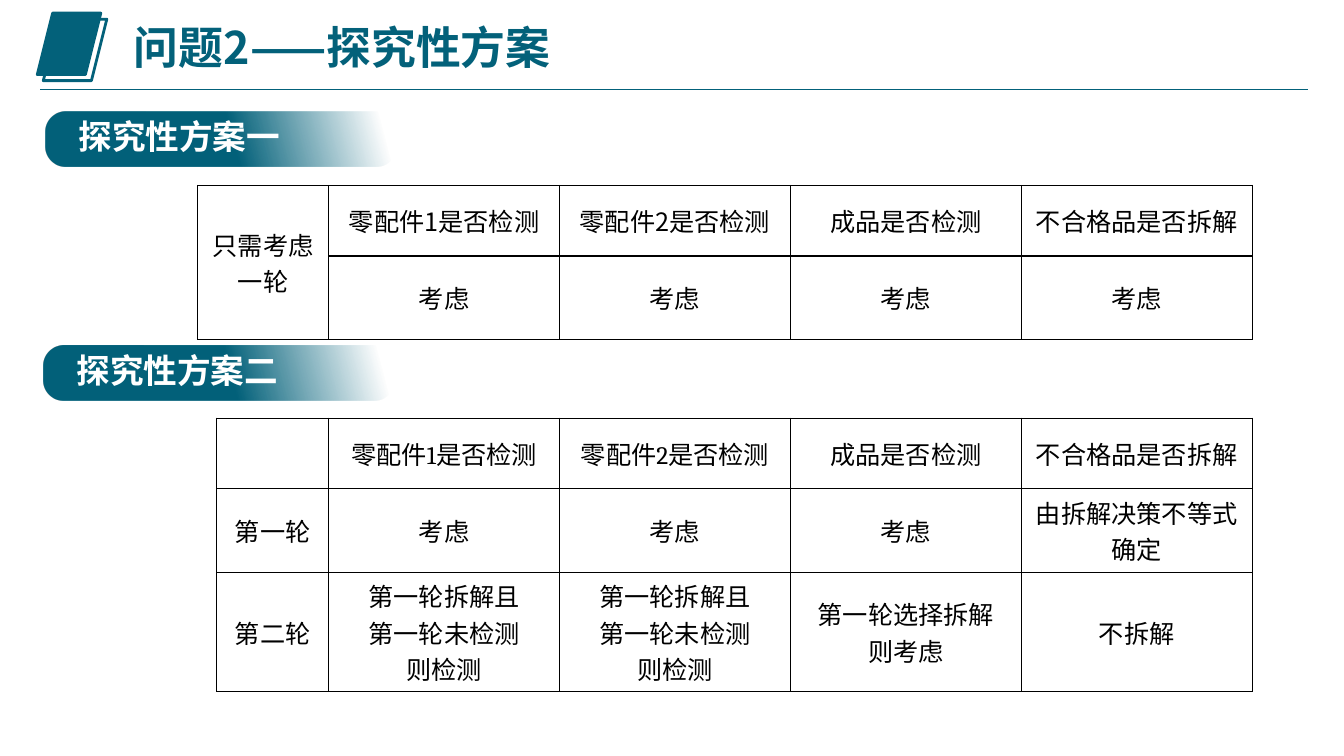
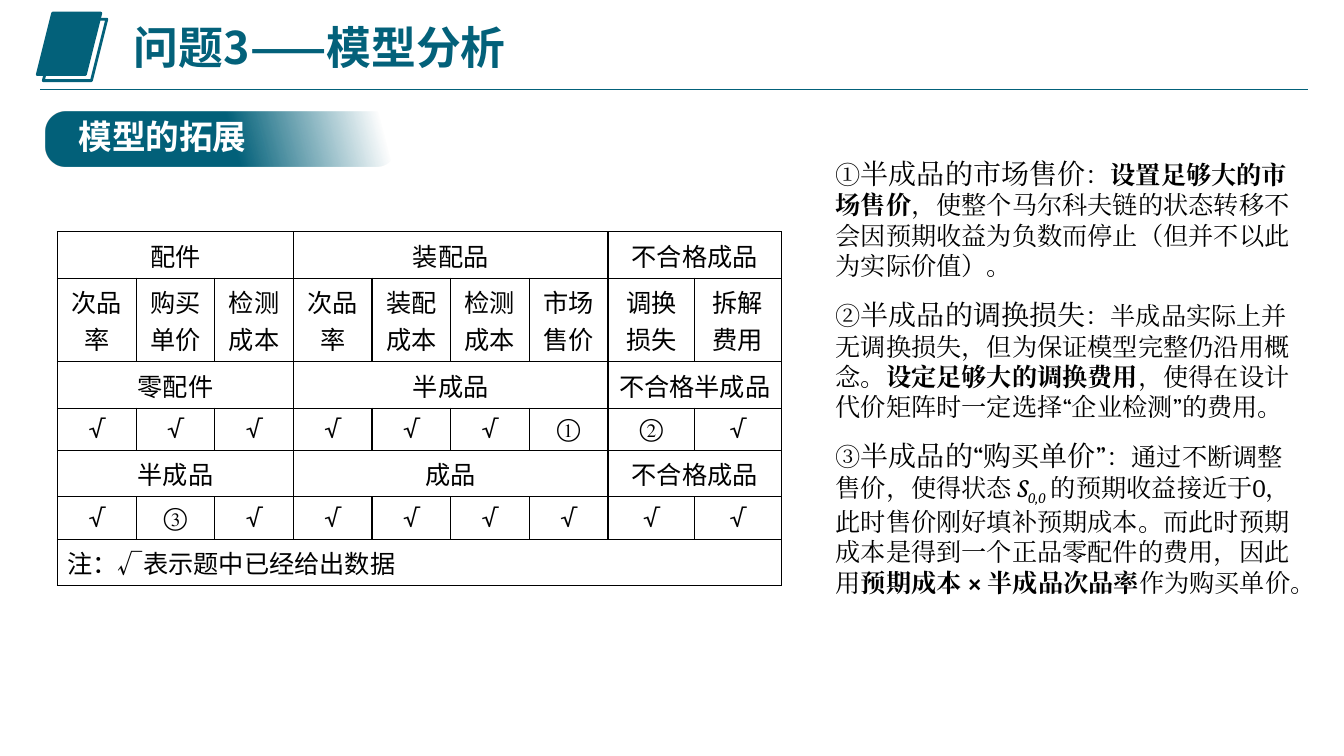
"""Build two slides on inspection plans and the extension of the decision model."""
from lxml import etree
from pptx import Presentation
from pptx.dml.color import RGBColor
from pptx.enum.shapes import MSO_CONNECTOR, MSO_SHAPE
from pptx.enum.text import MSO_ANCHOR, PP_ALIGN
from pptx.oxml.ns import qn
from pptx.util import Inches, Pt

TEAL = RGBColor(0x03, 0x61, 0x7A)
WHITE = RGBColor(0xFF, 0xFF, 0xFF)
BLACK = RGBColor(0x00, 0x00, 0x00)
SANS, SERIF = "Noto Sans CJK SC", "Cambria"
PARALLELOGRAM, ROUNDED = MSO_SHAPE.PARALLELOGRAM, MSO_SHAPE.ROUNDED_RECTANGLE
STRAIGHT = MSO_CONNECTOR.STRAIGHT
CENTER, LEFT = PP_ALIGN.CENTER, PP_ALIGN.LEFT
MIDDLE = MSO_ANCHOR.MIDDLE

BADGE_STOPS = ((0, 100), (53, 100), (95, 0))
GROUP_SPANS = (3, 4, 2)
BIG, BOLD, ITALIC = {"size": 20}, {"bold": True}, {"italic": True}
SUBSCRIPT = {"italic": True, "baseline": -25000}


def spread(texts, spans=GROUP_SPANS):
    """Follow each text with None for every further column it covers."""
    return [entry for text, span in zip(texts, spans)
            for entry in [text] + [None] * (span - 1)]


QUESTIONS = ["零配件1是否检测", "零配件2是否检测", "成品是否检测", "不合格品是否拆解"]
RETEST = "第一轮拆解且\n第一轮未检测\n则检测"

PLAN_ONE = [
    ["只需考虑\n一轮"] + QUESTIONS,
    [None] + ["考虑"] * 4,
]
PLAN_TWO = [
    [""] + QUESTIONS,
    ["第一轮"] + ["考虑"] * 3 + ["由拆解决策不等式确定"],
    ["第二轮", RETEST, RETEST, "第一轮选择拆解\n则考虑", "不拆解"],
]
EXTENSION = [
    spread(["配件", "装配品", "不合格成品"]),
    ["次品率", "购买单价", "检测成本", "次品率", "装配成本", "检测成本",
     "市场售价", "调换损失", "拆解费用"],
    spread(["零配件", "半成品", "不合格半成品"]),
    list("√√√√√√①②√"),
    spread(["半成品", "成品", "不合格成品"]),
    list("√③√√√√√√√"),
    spread(["注：√表示题中已经给出数据"], [9]),
]
REMARKS = [
    ["①", ("半成品的市场售价", BIG), "：", ("设置足够大的市场售价", BOLD),
     "，使整个马尔科夫链的状态转移不会因预期收益为负数而停止（但并不以此为实际价值）。"],
    ["②", ("半成品的调换损失", BIG),
     "：半成品实际上并无调换损失，但为保证模型完整仍沿用概念。",
     ("设定足够大的调换费用", BOLD), "，使得在设计代价矩阵时一定选择“企业检测”的费用。"],
    ["③", ("半成品的“购买单价”", BIG), "：通过不断调整售价，使得状态 ",
     ("S", ITALIC), ("0,0", SUBSCRIPT),
     " 的预期收益接近于0，此时售价刚好填补预期成本。而此时预期成本是得到一个正品零配件的费用，因此用",
     ("预期成本 × 半成品次品率", BOLD), "作为购买单价。"],
]

SLIDES = [
    {
        "title": "问题2——探究性方案",
        "badges": [("探究性方案一", 0.45, 1.11), ("探究性方案二", 0.43, 3.43)],
        "tables": [
            {"rows": PLAN_ONE, "left": 1.96, "top": 1.84, "font": SANS,
             "widths": [1.3] + [2.29] * 4, "heights": [0.7, 0.83]},
            {"rows": PLAN_TWO, "left": 2.15, "top": 4.15, "font": SERIF,
             "widths": [1.11] + [2.29] * 4, "heights": [0.7, 0.83, 1.18]},
        ],
        "remarks": [],
    },
    {
        "title": "问题3——模型分析",
        "badges": [("模型的拓展", 0.45, 1.11)],
        "tables": [
            {"rows": EXTENSION, "left": 0.57, "top": 2.3, "font": SERIF,
             "widths": [0.78] * 7 + [0.86] * 2,
             "heights": [0.46, 0.83, 0.46, 0.42, 0.46, 0.42, 0.46],
             "left_rows": [6]},
        ],
        "remarks": REMARKS,
    },
]


def write(frame, paragraphs, size=18, color=BLACK, font=SANS, east=SANS,
          bold=False, align=LEFT, spacing=None, after=None):
    """Fill a text frame; each paragraph is a list of texts or (text, changes)."""
    frame.word_wrap = True
    for index, spans in enumerate(paragraphs):
        para = frame.add_paragraph() if index else frame.paragraphs[0]
        para.alignment = align
        para.line_spacing = spacing
        para.space_after = after
        for part in spans:
            text, changes = (part, {}) if isinstance(part, str) else part
            span = para.add_run()
            span.text = text
            span.font.name = font
            span.font.size = Pt(changes.get("size", size))
            span.font.bold = changes.get("bold", bold)
            span.font.italic = changes.get("italic", False)
            span.font.color.rgb = color
            properties = span.font._element
            properties.set("lang", "zh-CN")
            if "baseline" in changes:
                properties.set("baseline", str(changes["baseline"]))
            etree.SubElement(properties, qn("a:ea")).set("typeface", east)


def add_text(page, area, paragraphs, **style):
    """Place a text box at left, top, width, height."""
    box = page.shapes.add_textbox(*map(Inches, area))
    write(box.text_frame, paragraphs, **style)


def add_header(page, title):
    """Draw the book emblem, the rule and the title."""
    for left, top, filled in ((0.37, 0.13, True), (0.43, 0.19, False)):
        cover = page.shapes.add_shape(
            PARALLELOGRAM, *map(Inches, (left, top, 0.63, 0.61)))
        cover.shadow.inherit = False
        cover.line.color.rgb = TEAL
        cover.line.width = Pt(2)
        if filled:
            cover.fill.solid()
            cover.fill.fore_color.rgb = TEAL
        else:
            cover.fill.background()
    rule = page.shapes.add_connector(
        STRAIGHT, *map(Inches, (0.4, 0.89, 12.97, 0.89)))
    rule.line.color.rgb = TEAL
    rule.line.width = Pt(0.75)
    etree.SubElement(rule._element.spPr, qn("a:effectLst"))
    add_text(page, (1.23, 0.21, 8.66, 0.67), [[title]],
             size=32, color=TEAL, bold=True, spacing=0.9)


def add_badge(page, label, left, top):
    """Draw a section label on a band that fades out to the right."""
    band = page.shapes.add_shape(
        ROUNDED, *map(Inches, (left, top, 3.48, 0.54)))
    band.shadow.inherit = False
    band.adjustments[0] = 0.37
    band.line.fill.background()
    band.fill.gradient()
    band.fill.gradient_angle = 15
    stops = band._element.spPr.find(".//" + qn("a:gsLst"))
    for stop in list(stops):
        stops.remove(stop)
    for position, opacity in BADGE_STOPS:
        stop = etree.SubElement(stops, qn("a:gs"), pos=str(position * 1000))
        tint = etree.SubElement(stop, qn("a:srgbClr"), val=str(TEAL))
        etree.SubElement(tint, qn("a:alpha"), val=str(opacity * 1000))
    add_text(page, (left + 0.23, top + 0.04, 2.29, 0.5), [[label]],
             size=24, color=WHITE, bold=True, spacing=0.9)


def set_borders(cell):
    """Give a cell thin black edges and no fill."""
    properties = cell._tc.get_or_add_tcPr()
    for side in ("lnL", "lnR", "lnT", "lnB"):
        edge = etree.SubElement(properties, qn("a:" + side), w=str(Pt(1)))
        paint = etree.SubElement(edge, qn("a:solidFill"))
        etree.SubElement(paint, qn("a:srgbClr"), val=str(BLACK))
    cell.fill.background()


def add_grid(page, rows, left, top, widths, heights, font, left_rows=()):
    """Build a table; None joins the cell before it, or above it in column one."""
    frame = page.shapes.add_table(
        len(rows), len(widths),
        *map(Inches, (left, top, sum(widths), sum(heights))))
    table = frame.table
    table.first_row = table.horz_banding = False
    for column, width in zip(table.columns, widths):
        column.width = Inches(width)
    for row, height in zip(table.rows, heights):
        row.height = Inches(height)
    for r, texts in enumerate(rows):
        for c, text in enumerate(texts):
            cell = table.cell(r, c)
            set_borders(cell)
            if text is None:
                continue
            last_row, last_column = r, c
            while last_column + 1 < len(texts) and texts[last_column + 1] is None:
                last_column += 1
            while c == 0 and last_row + 1 < len(rows) and rows[last_row + 1][0] is None:
                last_row += 1
            if (last_row, last_column) != (r, c):
                cell.merge(table.cell(last_row, last_column))
            cell.vertical_anchor = MIDDLE
            if text:
                write(cell.text_frame, [[line] for line in text.split("\n")],
                      font=font, align=LEFT if r in left_rows else CENTER)


def main():
    """Assemble and save the deck."""
    deck = Presentation()
    deck.slide_width, deck.slide_height = Inches(13.33), Inches(7.5)
    for content in SLIDES:
        page = deck.slides.add_slide(deck.slide_layouts[6])
        add_header(page, content["title"])
        for badge in content["badges"]:
            add_badge(page, *badge)
        for grid in content["tables"]:
            add_grid(page, **grid)
        if content["remarks"]:
            add_text(page, (8.19, 1.5, 4.78, 4.48), content["remarks"],
                     font=SERIF, east=SERIF, after=Pt(12))
    deck.save("out.pptx")


if __name__ == "__main__":
    main()
